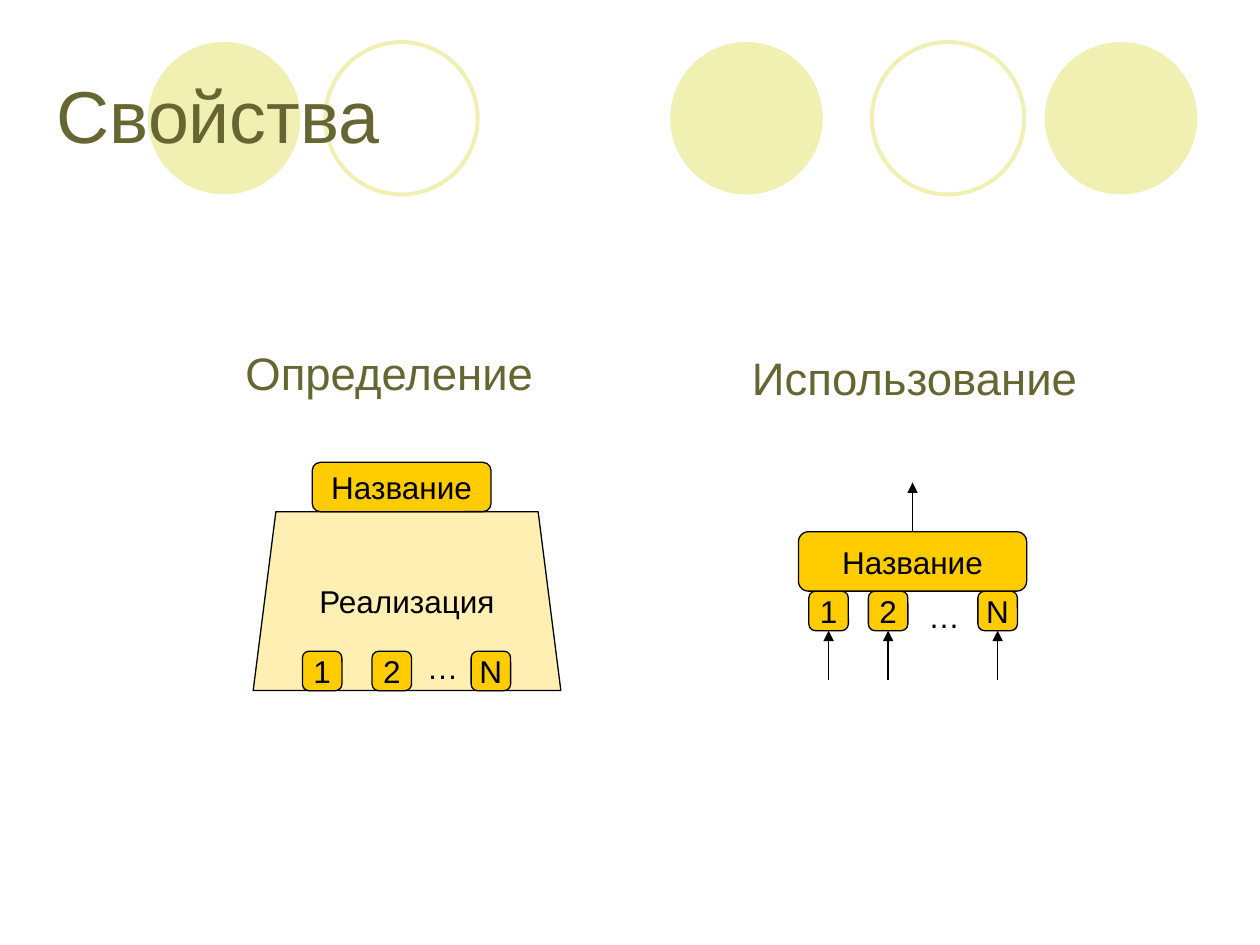
from dataclasses import dataclass

from lxml import etree
from pptx import Presentation
from pptx.dml.color import RGBColor
from pptx.enum import shapes, text
from pptx.oxml import ns
from pptx.util import Pt


@dataclass(frozen=True)
class Theme:
    font: str = "Arial"
    olive: RGBColor = RGBColor(0x66, 0x66, 0x33)
    circle: RGBColor = RGBColor(0xEF, 0xF0, 0xB2)
    amber: RGBColor = RGBColor(0xFF, 0xCC, 0x00)
    black: RGBColor = RGBColor(0, 0, 0)
    title_size: float = 42
    heading_size: float = 26
    label_size: float = 18
    outline: float = 0.75
    ring: float = 2.25


THEME = Theme()
CHIP = 22.6
ARROW = 28.2


def write(shape, words, size, color, align=text.PP_ALIGN.LEFT, wrap=True):
    frame = shape.text_frame
    frame.word_wrap = wrap
    frame.auto_size = text.MSO_AUTO_SIZE.NONE
    frame.vertical_anchor = text.MSO_ANCHOR.MIDDLE
    paragraph = frame.paragraphs[0]
    paragraph.alignment = align
    run = paragraph.add_run()
    run.text = words
    run.font.name = THEME.font
    run.font.size = Pt(size)
    run.font.color.rgb = color


def add_block(slide, kind, words, left, top, width, height, adjustment):
    shape = slide.shapes.add_shape(kind, Pt(left), Pt(top), Pt(width), Pt(height))
    shape.shadow.inherit = False
    shape.adjustments[0] = adjustment
    shape.fill.solid()
    shape.fill.fore_color.rgb = THEME.amber
    shape.line.color.rgb = THEME.black
    shape.line.width = Pt(THEME.outline)
    write(shape, words, THEME.label_size, THEME.black, text.PP_ALIGN.CENTER, False)
    return shape


def add_rounded(slide, words, left, top, width, height):
    kind = shapes.MSO_SHAPE.ROUNDED_RECTANGLE
    return add_block(slide, kind, words, left, top, width, height, 0.167)


def add_chips(slide, left, top, offsets):
    return [add_rounded(slide, words, left + offset, top, CHIP, CHIP)
            for words, offset in zip("12N", offsets)]


def add_ellipsis(slide, left, top):
    box = slide.shapes.add_textbox(Pt(left), Pt(top), Pt(32.4), Pt(28.8))
    write(box, "…", THEME.label_size, THEME.black, wrap=False)
    box.text_frame.vertical_anchor = text.MSO_ANCHOR.TOP


def add_heading(slide, words, left, top, width):
    box = slide.shapes.add_textbox(Pt(left), Pt(top), Pt(width), Pt(90))
    write(box, words, THEME.heading_size, THEME.olive)


def add_arrow(slide, x, start, end):
    arrow = slide.shapes.add_connector(
        shapes.MSO_CONNECTOR.STRAIGHT, Pt(x), Pt(start), Pt(x), Pt(end))
    arrow.line.color.rgb = THEME.black
    arrow.line.width = Pt(THEME.outline)
    line = arrow.line._get_or_add_ln()
    etree.SubElement(line, ns.qn("a:tailEnd"), type="triangle")
    etree.SubElement(arrow.element.spPr, ns.qn("a:effectLst"))
    return arrow


def add_circles(slide, top, size):
    circles = [(383, True), (597, True), (84.5, True), (498.2, False), (185.8, False)]
    for left, filled in circles:
        circle = slide.shapes.add_shape(
            shapes.MSO_SHAPE.OVAL, Pt(left), Pt(top), Pt(size), Pt(size))
        circle.shadow.inherit = False
        if filled:
            circle.fill.solid()
            circle.fill.fore_color.rgb = THEME.circle
            circle.line.fill.background()
        else:
            circle.fill.background()
            circle.line.color.rgb = THEME.circle
            circle.line.width = Pt(THEME.ring)


def add_title(slide, words, left, top, width, height):
    title = slide.shapes.title
    title.left, title.top = Pt(left), Pt(top)
    title.width, title.height = Pt(width), Pt(height)
    write(title, words, THEME.title_size, THEME.olive)
    title.element.getparent().append(title.element)


def add_definition(slide, left, top, width):
    body = add_block(slide, shapes.MSO_SHAPE.TRAPEZOID, "Реализация",
                     left + 11.5, top + 124.6, 175.8, 102.2, 0.127)
    body.text_frame.margin_bottom = Pt(8.6)
    color = body.fill._xPr.find(ns.qn("a:solidFill"))[0]
    etree.SubElement(color, ns.qn("a:alpha"), val="30000")
    add_chips(slide, left, top + 204.3, (39.6, 79.4, 136))
    add_ellipsis(slide, left + 103.7, top + 198.7)
    add_rounded(slide, "Название", left + 45.2, top + 96.4, 102.2, ARROW)
    add_heading(slide, "Определение", left, top, width)


def add_usage(slide, left, top, width):
    chip_top = top + 167.2
    chip_bottom = chip_top + CHIP
    chips = add_chips(slide, left, chip_top, (39.6, 73.6, 136.2))
    add_ellipsis(slide, left + 100.8, chip_top)
    name_top = top + 133.3
    name = add_rounded(slide, "Название", left + 33.7, name_top, 130.4, 33.9)
    for chip in chips:
        center = (chip.left + chip.width / 2) / Pt(1)
        arrow = add_arrow(slide, center, chip_bottom + ARROW, chip_bottom)
        arrow.end_connect(chip, 2)
    center = (name.left + name.width / 2) / Pt(1)
    result = add_arrow(slide, center, name_top, name_top - ARROW)
    result.begin_connect(name, 0)
    add_heading(slide, "Использование", left, top, width)


def main():
    presentation = Presentation()
    presentation.slide_width, presentation.slide_height = Pt(720), Pt(540)
    slide = presentation.slides.add_slide(presentation.slide_layouts[5])
    add_circles(slide, 24, 87.1)
    add_title(slide, "Свойства", 25.2, 20.2, 674.6, 90)
    add_definition(slide, 133.2, 167.8, 203.8)
    add_usage(slide, 422.6, 170.6, 209.5)
    presentation.save("out.pptx")


if __name__ == "__main__":
    main()
